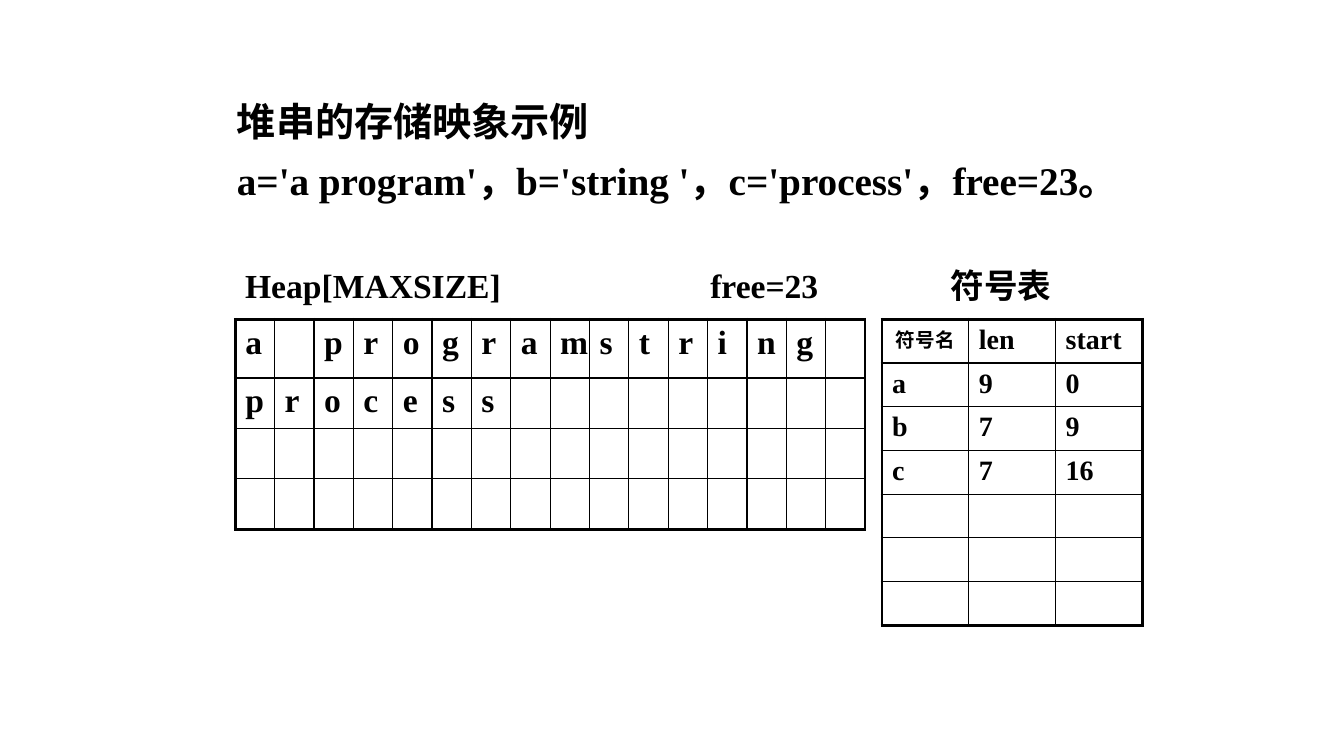
from lxml import etree
from pptx import Presentation
from pptx import util as u
from pptx.dml.color import RGBColor
from pptx.enum import text
from pptx.oxml import ns

PX = 9525  # EMU per px, 96 px to the inch
FONT = "Times New Roman"
BLACK = RGBColor(0x00, 0x00, 0x00)
THIN, THICK = 1, 2.25


def style(paragraph, size, alignment=text.PP_ALIGN.LEFT):
    paragraph.alignment = alignment
    paragraph.space_before = u.Pt(0)
    font = paragraph.font
    font.name, font.size, font.bold = FONT, u.Pt(size), True
    font.color.rgb = BLACK


def add_grid(left, top, width, row_heights, rows, size):
    """Add a table with thin inner lines and a thick frame."""
    row_count, column_count = len(rows), len(rows[0])
    frame = slide.shapes.add_table(row_count, column_count, left * PX, top * PX,
                                   width * PX, sum(row_heights))
    table = frame.table
    table.first_row = table.horz_banding = False
    for column in table.columns:
        column.width = width * PX // column_count
    for r, values in enumerate(rows):
        table.rows[r].height = row_heights[r]
        for c, value in enumerate(values):
            cell = table.cell(r, c)
            cell.text = value.strip()
            style(cell.text_frame.paragraphs[0], size)
            properties = cell._tc.get_or_add_tcPr()
            on_frame = {"lnL": c == 0, "lnR": c == column_count - 1,
                        "lnT": r == 0, "lnB": r == row_count - 1}
            for side, outer in on_frame.items():
                line = etree.SubElement(properties, ns.qn(f"a:{side}"),
                                        w=str(u.Pt(THICK if outer else THIN)))
                fill = etree.SubElement(line, ns.qn("a:solidFill"))
                etree.SubElement(fill, ns.qn("a:srgbClr"), val=str(BLACK))
            cell.fill.background()
    return table


presentation = Presentation()
presentation.slide_width, presentation.slide_height = 1280 * PX, 720 * PX
slide = presentation.slides.add_slide(presentation.slide_layouts[1])

# Heading, example strings and table captions
title, body = slide.placeholders
heap_caption = slide.shapes.add_textbox(0, 0, 0, 0)
symbol_caption = slide.shapes.add_textbox(0, 0, 0, 0)
for shape, content, (left, top, width, height), size in [
    (title, "堆串的存储映象示例", (216, 88, 880, 55), 28),
    (body, "a='a program'，b='string '，c='process'，free=23。",
     (216, 144, 880, 55), 28),
    (heap_caption, "Heap[MAXSIZE]\tfree=23", (224, 248, 592, 48), 24),
    (symbol_caption, "符号表", (896, 248, 152, 48), 24),
]:
    shape.left, shape.top = left * PX, top * PX
    shape.width, shape.height = width * PX, height * PX
    text_frame = shape.text_frame
    text_frame.word_wrap = True
    text_frame.auto_size = text.MSO_AUTO_SIZE.SHAPE_TO_FIT_TEXT
    text_frame.vertical_anchor = text.MSO_ANCHOR.TOP
    text_frame.text = content
    paragraph = text_frame.paragraphs[0]
    properties = paragraph._p.get_or_add_pPr()
    if shape is body:
        properties.set("marL", "0")
        properties.set("indent", "0")
        etree.SubElement(properties, ns.qn("a:buNone"))
    if shape is heap_caption:
        tabs = etree.SubElement(properties, ns.qn("a:tabLst"))
        etree.SubElement(tabs, ns.qn("a:tab"), pos=str(443 * PX), algn="l")
    style(paragraph, size)

# Heap: 16 characters to a row
heap_rows = [line.ljust(16) for line in ("a programstring", "process", "", "")]
add_grid(224, 304, 600, [56 * PX] + [48 * PX] * 3, heap_rows, 24)

# Symbol table
symbol_rows = [
    ("符号名", "len", "start"),
    ("a", "9", "0"),
    ("b", "7", "9"),
    ("c", "7", "16"),
] + [("", "", "")] * 3
symbols = add_grid(840, 304, 248, [291 * PX // 7] * 7, symbol_rows, 20)
style(symbols.cell(0, 0).text_frame.paragraphs[0], 14, text.PP_ALIGN.CENTER)

presentation.save("out.pptx")
